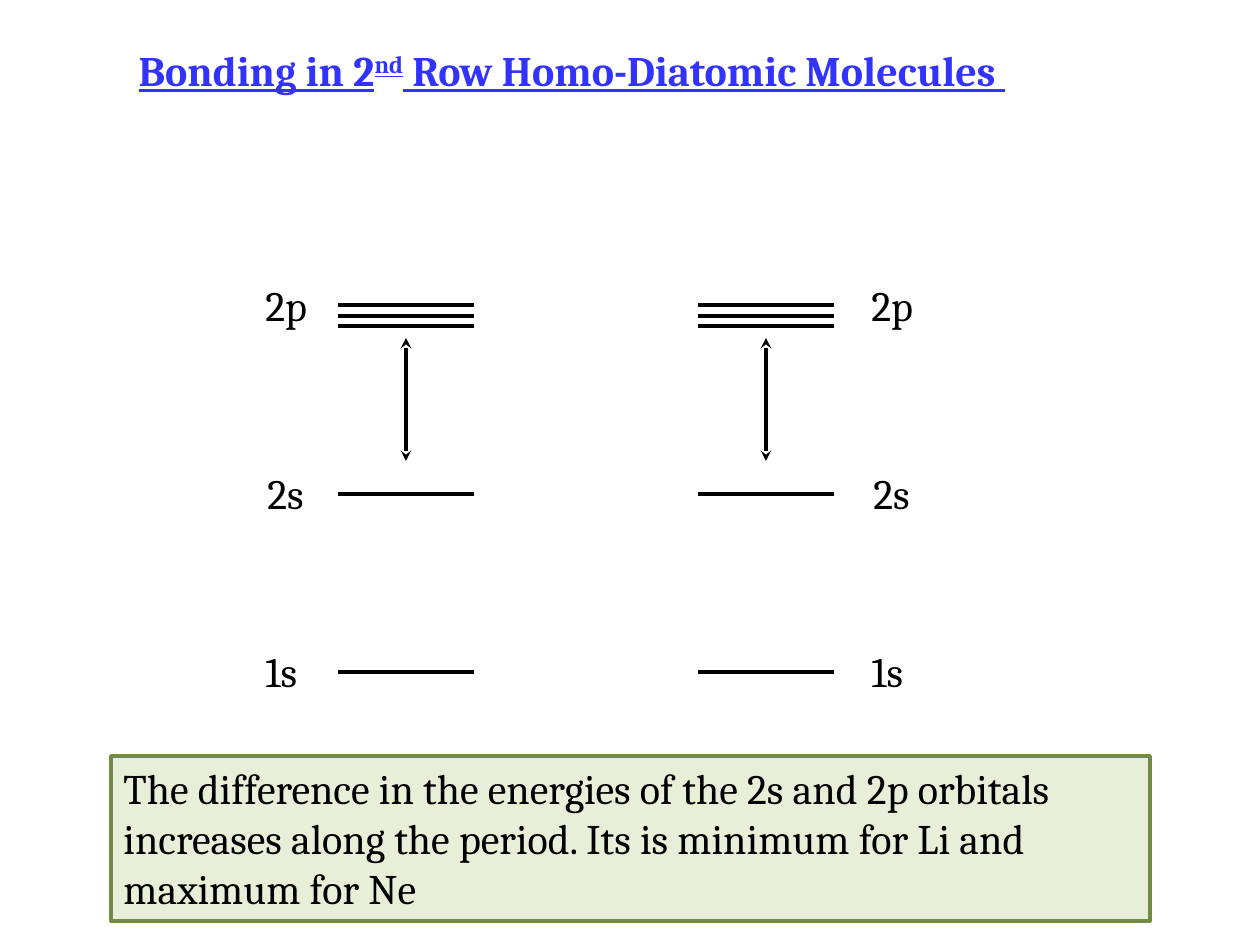
import pptx
import pptx.dml.color
import pptx.enum.shapes
import pptx.enum.text
import pptx.oxml.ns
import pptx.util
import lxml.etree

SCALE = 914400 / 126
THEME = {
    "font": "Cambria",
    "size": 24,
    "line": 2,
    "title": "3333FF",
    "ink": "000000",
    "note_fill": "E8EFD9",
    "note_line": "738A42",
}
LEVEL_WIDTH = 136
ORBITALS = [
    {"name": "1s", "lines": [672], "label": 639, "width": 62, "nudge": 0},
    {"name": "2s", "lines": [494], "label": 461, "width": 68, "nudge": 2},
    {"name": "2p", "lines": [305, 316, 326], "label": 273, "width": 73, "nudge": 0},
]
ATOMS = [{"level": 338, "label": 253}, {"level": 698, "label": 859}]
GAP_ARROW = (338, 461)


def px(length):
    return pptx.util.Emu(round(length * SCALE))


def color(name):
    return pptx.dml.color.RGBColor.from_string(THEME[name])


def place(box, left, top, width, height):
    places = {"left": left, "top": top, "width": width, "height": height}
    for name, length in places.items():
        setattr(box, name, px(length))


def format_frame(frame, wrap, anchor=pptx.enum.text.MSO_ANCHOR.TOP):
    values = {
        "word_wrap": wrap,
        "auto_size": pptx.enum.text.MSO_AUTO_SIZE.SHAPE_TO_FIT_TEXT,
        "vertical_anchor": anchor,
    }
    for name, value in values.items():
        setattr(frame, name, value)
    frame.paragraphs[0].alignment = pptx.enum.text.PP_ALIGN.LEFT


def add_span(para, text, ink="ink", **extra):
    span = para.add_run()
    span.text = text
    values = {"name": THEME["font"], "size": pptx.util.Pt(THEME["size"]), **extra}
    for name, value in values.items():
        setattr(span.font, name, value)
    span.font.color.rgb = color(ink)
    return span


def add_title(page):
    title = page.shapes.title
    place(title, 126, 38, 1079, 63)
    format_frame(title.text_frame, True)
    para = title.text_frame.paragraphs[0]
    style = {"ink": "title", "bold": True, "underline": True}
    add_span(para, "Bonding in 2", **style)
    ordinal = add_span(para, "nd", **style)
    ordinal._r.get_or_add_rPr().set("baseline", "30000")
    add_span(para, " Row Homo-Diatomic Molecules ", **style)


def add_line(page, start, end, arrows=False):
    line = page.shapes.add_connector(
        pptx.enum.shapes.MSO_CONNECTOR.STRAIGHT, *map(px, start + end)
    )
    line.line.color.rgb = color("ink")
    line.line.width = pptx.util.Pt(THEME["line"])
    qn = pptx.oxml.ns.qn
    if arrows:
        outline = line.line._get_or_add_ln()
        for tag in ("a:headEnd", "a:tailEnd"):
            lxml.etree.SubElement(outline, qn(tag), type="stealth")
    lxml.etree.SubElement(line._element.spPr, qn("a:effectLst"))


def add_label(page, text, left, top, width):
    box = page.shapes.add_textbox(px(left), px(top), px(width), px(63))
    format_frame(box.text_frame, False)
    add_span(box.text_frame.paragraphs[0], text)


def add_atom(page, atom):
    left = atom["level"]
    for orbital in ORBITALS:
        for y in orbital["lines"]:
            add_line(page, (left, y), (left + LEVEL_WIDTH, y))
        add_label(page, orbital["name"], atom["label"] + orbital["nudge"],
                  orbital["label"], orbital["width"])
    middle = left + LEVEL_WIDTH // 2
    top, bottom = GAP_ARROW
    add_line(page, (middle, top), (middle, bottom), arrows=True)


def add_note(page, text):
    note = page.shapes.add_shape(
        pptx.enum.shapes.MSO_SHAPE.RECTANGLE, px(111), px(756), px(1039), px(165)
    )
    note.shadow.inherit = False
    note.fill.solid()
    note.fill.fore_color.rgb = color("note_fill")
    note.line.color.rgb = color("note_line")
    note.line.width = pptx.util.Pt(THEME["line"])
    format_frame(note.text_frame, True)
    add_span(note.text_frame.paragraphs[0], text)


def main():
    deck = pptx.Presentation()
    deck.slide_width = px(1260)
    deck.slide_height = px(945)
    page = deck.slides.add_slide(deck.slide_layouts.get_by_name("Title Only"))
    add_title(page)
    for atom in ATOMS:
        add_atom(page, atom)
    add_note(page, "The difference in the energies of the 2s and 2p orbitals "
                   "increases along the period. Its is minimum for Li and "
                   "maximum for Ne")
    deck.save("out.pptx")


if __name__ == "__main__":
    main()
